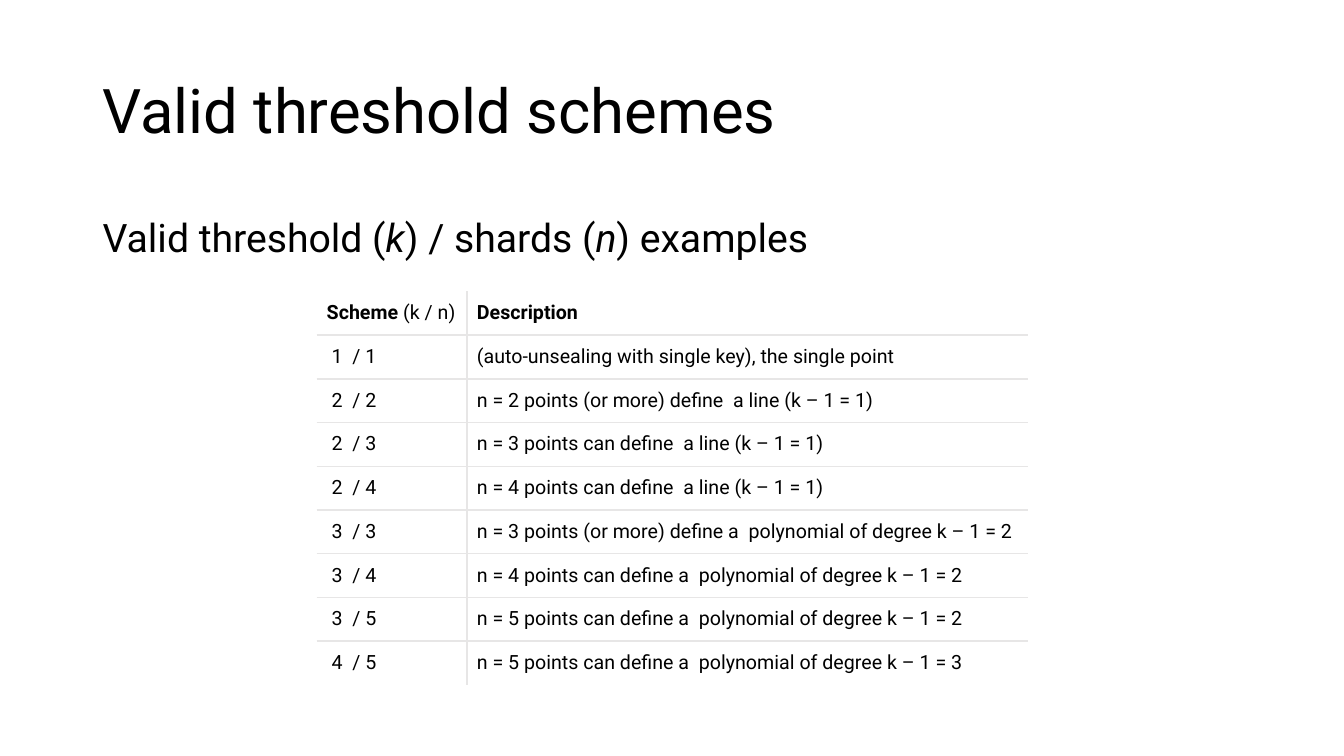
from dataclasses import dataclass

from lxml import etree
from pptx import Presentation
from pptx.dml.color import RGBColor
from pptx.enum.text import MSO_ANCHOR
from pptx.oxml.ns import qn
from pptx.util import Inches, Pt

TOP, MIDDLE = MSO_ANCHOR.TOP, MSO_ANCHOR.MIDDLE


@dataclass(frozen=True)
class Theme:
    font: str = "Roboto"
    ink: str = "000000"
    rule: str = "E7E6E6"
    title: int = 44
    body: int = 28
    table: int = 14
    rule_width: float = 1.2


class SlideBuilder:
    def __init__(self, prs, theme):
        self.theme = theme
        self.s = prs.slides.add_slide(prs.slide_layouts[6])

    def add_runs(self, p, runs, size):
        """Fill a paragraph from (text, style) pairs; style is '', 'b' or 'i'."""
        for text, style in runs:
            r = p.add_run()
            r.text = text
            r.font.name = self.theme.font
            r.font.size = Pt(size)
            r.font.color.rgb = RGBColor.from_string(self.theme.ink)
            r.font.bold = style == "b"
            r.font.italic = style == "i"

    def text(self, box, runs, size, spacing, anchor=TOP):
        tf = self.s.shapes.add_textbox(*map(Inches, box)).text_frame
        tf.word_wrap = True
        tf.vertical_anchor = anchor
        p = tf.paragraphs[0]
        p.line_spacing = spacing
        self.add_runs(p, runs, size)

    def border(self, cell, side, visible):
        tc_pr = cell._tc.get_or_add_tcPr()
        ln = etree.SubElement(tc_pr, qn(f"a:ln{side}"), w=str(Pt(self.theme.rule_width)))
        if visible:
            fill = etree.SubElement(ln, qn("a:solidFill"))
            etree.SubElement(fill, qn("a:srgbClr"), val=self.theme.rule)
        else:
            etree.SubElement(ln, qn("a:noFill"))

    def table(self, left, top, col_widths, row_height, rows):
        """Draw a table that has rules between its cells but no outer frame."""
        n_rows, n_cols = len(rows), len(col_widths)
        frame = self.s.shapes.add_table(
            n_rows, n_cols, Inches(left), Inches(top),
            Inches(sum(col_widths)), Inches(row_height * n_rows))
        table = frame.table
        table.first_row = table.horz_banding = False
        for column, width in zip(table.columns, col_widths):
            column.width = Inches(width)
        for i, row in enumerate(rows):
            table.rows[i].height = Inches(row_height)
            for j, runs in enumerate(row):
                cell = table.cell(i, j)
                indented = i > 0 and j == 0
                cell.margin_left = Inches(0.15 if indented else 0.1)
                cell.margin_right = cell.margin_top = cell.margin_bottom = Inches(0.1)
                inner = {"L": j > 0, "R": j < n_cols - 1,
                         "T": i > 0, "B": i < n_rows - 1}
                for side, visible in inner.items():
                    self.border(cell, side, visible)
                cell.fill.background()
                self.add_runs(cell.text_frame.paragraphs[0], runs, self.theme.table)


HEADER = [[("Scheme", "b"), (" (k / n)", "")], [("Description", "b")]]
SCHEMES = [
    ("1  / 1", "(auto-unsealing with single key), the single point"),
    ("2  / 2", "n = 2 points (or more) define  a line (k – 1 = 1)"),
    ("2  / 3", "n = 3 points can define  a line (k – 1 = 1)"),
    ("2  / 4", "n = 4 points can define  a line (k – 1 = 1)"),
    ("3  / 3", "n = 3 points (or more) define a  polynomial of degree k – 1 = 2"),
    ("3  / 4", "n = 4 points can define a  polynomial of degree k – 1 = 2"),
    ("3  / 5", "n = 5 points can define a  polynomial of degree k – 1 = 2"),
    ("4  / 5", "n = 5 points can define a  polynomial of degree k – 1 = 3"),
]


def main():
    prs = Presentation()
    prs.slide_width, prs.slide_height = Inches(13.33), Inches(7.5)
    theme = Theme()
    slide = SlideBuilder(prs, theme)
    slide.text((0.92, 0.4, 11.5, 1.45), [("Valid threshold schemes", "")],
               theme.title, 0.9, MIDDLE)
    slide.text((0.92, 2, 11.5, 4.76),
               [("Valid threshold (", ""), ("k", "i"), (") / shards (", ""),
                ("n", "i"), (") examples", "")],
               theme.body, 1.15)
    rows = [HEADER] + [[[(text, "")] for text in scheme] for scheme in SCHEMES]
    slide.table(3.14, 2.89, (1.49, 5.57), 0.43, rows)
    prs.save("out.pptx")


if __name__ == "__main__":
    main()
